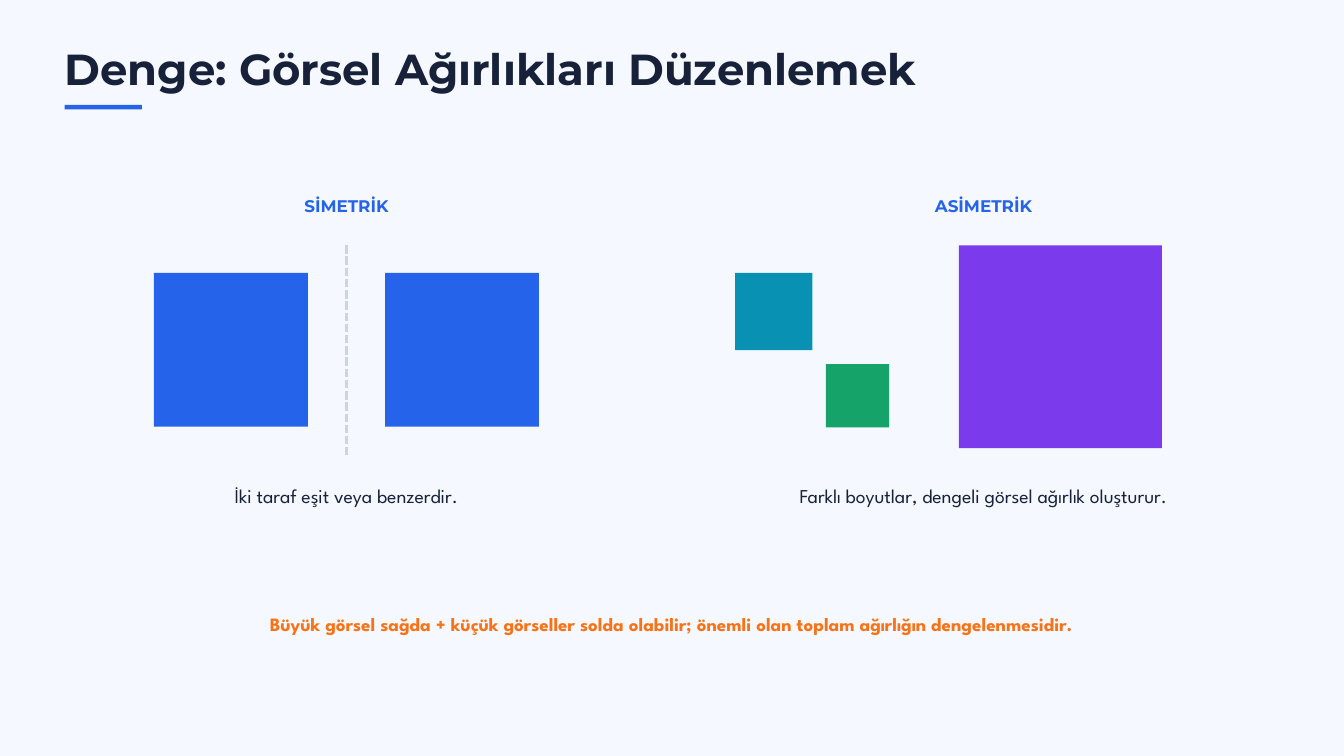
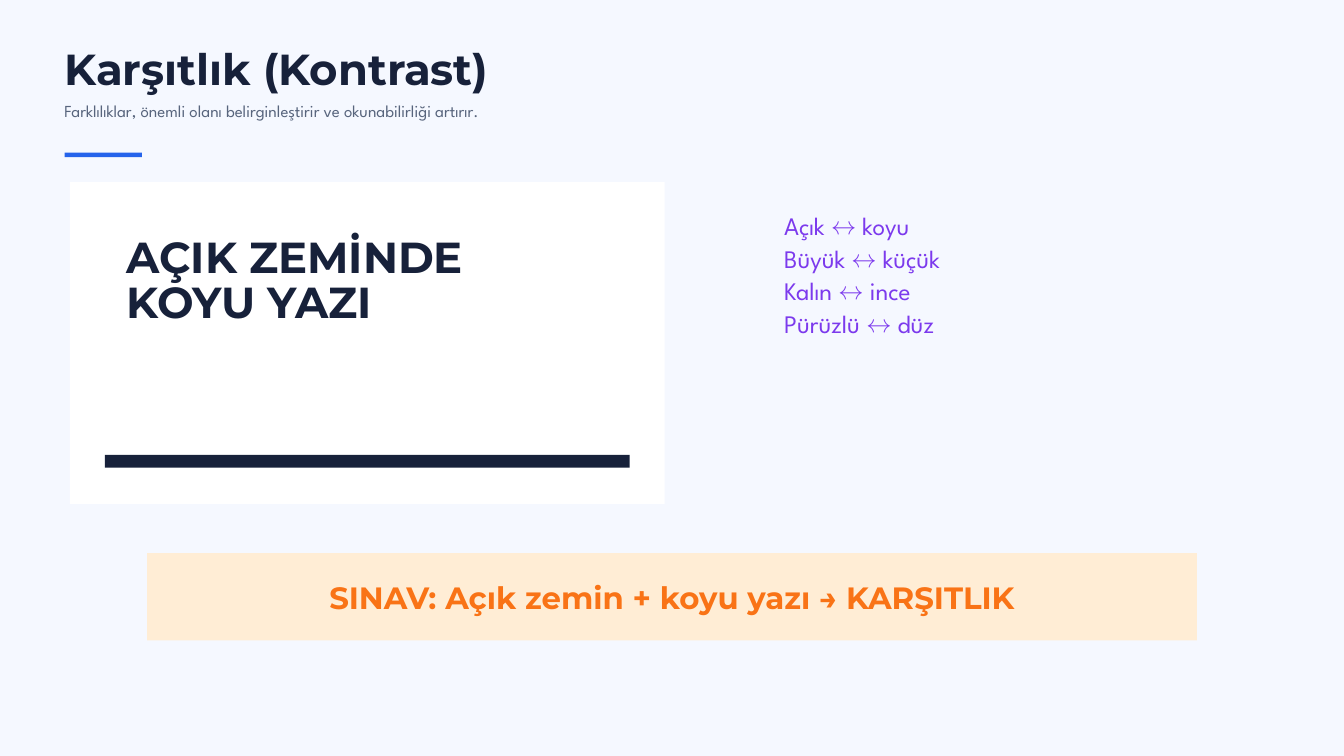
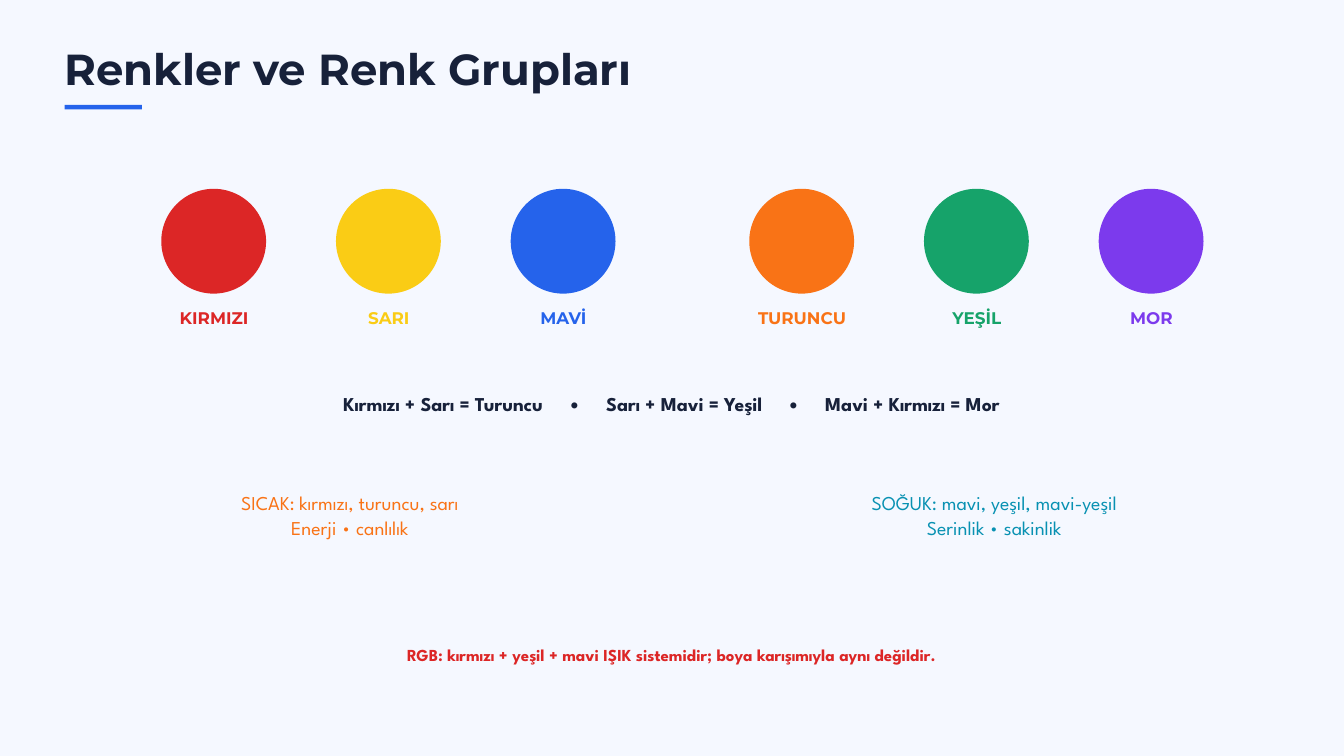
from lxml import etree
from pptx import Presentation
from pptx.dml.color import RGBColor as RGB
from pptx.enum.dml import MSO_LINE as Dash
from pptx.enum.shapes import MSO_CONNECTOR as Link, MSO_SHAPE as Shape
from pptx.enum.text import MSO_AUTO_SIZE as Fit, PP_ALIGN as Align
from pptx.oxml.ns import qn
from pptx.util import Inches, Pt

COLORS = {
    "back": "F5F8FF", "ink": "17213A", "muted": "58657D", "white": "FFFFFF",
    "blue": "2563EB", "purple": "7C3AED", "teal": "0891B2", "green": "16A36A",
    "orange": "F97316", "peach": "FFEDD5", "red": "DC2626", "yellow": "FACC15",
    "dash": "CBD5E1",
}
HEAD, BODY = "Montserrat", "League Spartan"

# Font values and line height as a multiple of the size
STYLES = {
    "title": ({"name": HEAD, "size": Pt(46.5), "bold": True}, 1.05),
    "exam": ({"name": HEAD, "size": Pt(33), "bold": True}, 1.05),
    "label": ({"name": HEAD, "size": Pt(18), "bold": True}, 1.1),
    "lead": ({"name": BODY, "size": Pt(18), "bold": False}, 1.25),
    "body": ({"name": BODY, "size": Pt(21), "bold": False}, 1.3),
    "strong": ({"name": BODY, "size": Pt(21), "bold": True}, 1.3),
    "list": ({"name": BODY, "size": Pt(27), "bold": False}, 1.3),
    "point": ({"name": BODY, "size": Pt(20.25), "bold": True}, 1.3),
    "note": ({"name": BODY, "size": Pt(18), "bold": True}, 1.25),
}


def tint(name):
    return RGB.from_string(COLORS[name])


class Deck:
    def __init__(self):
        self.prs = Presentation()
        self.prs.slide_width = Inches(20)
        self.prs.slide_height = Inches(11.25)
        self.slide = None

    def start(self, title, lead=None):
        """Add a slide with its title, optional lead line and accent bar."""
        self.slide = self.prs.slides.add_slide(self.prs.slide_layouts[6])
        fill = self.slide.background.fill
        fill.solid()
        fill.fore_color.rgb = tint("back")
        self.text(title, 0.96, 0.73, 15.62, 0.69, "title")
        if lead:
            self.text(lead, 0.96, 1.48, 16.04, 0.3, "lead", "muted")
        self.shape(0.96, 2.27 if lead else 1.56, 1.15, 0.07, "blue")

    def text(self, words, x, y, w, h, style, color="ink", align=Align.LEFT,
             inset=0, tabs=()):
        box = self.slide.shapes.add_textbox(*map(Inches, (x, y, w, h)))
        frame = box.text_frame
        form = {"word_wrap": True, "auto_size": Fit.SHAPE_TO_FIT_TEXT,
                "margin_left": Inches(inset), "margin_right": 0,
                "margin_top": 0, "margin_bottom": 0}
        for key, value in form.items():
            setattr(frame, key, value)
        font, ratio = STYLES[style]
        for i, line in enumerate(words.split("\n")):
            para = frame.add_paragraph() if i else frame.paragraphs[0]
            para.alignment = align
            para.line_spacing = Pt(round(font["size"].pt * ratio, 1))
            if tabs:
                self.tabs(para, tabs)
            run = para.add_run()
            run.text = line
            for key, value in font.items():
                setattr(run.font, key, value)
            run.font.color.rgb = tint(color)

    def tabs(self, para, stops):
        group = etree.SubElement(para._p.get_or_add_pPr(), qn("a:tabLst"))
        for place, kind in stops:
            etree.SubElement(group, qn("a:tab"), pos=str(Inches(place)), algn=kind)

    def mid(self, words, x, y, w, h, style, color="ink"):
        """Add centred text."""
        self.text(words, x, y, w, h, style, color, Align.CENTER)

    def shape(self, x, y, w, h, color, kind=Shape.RECTANGLE):
        item = self.slide.shapes.add_shape(kind, *map(Inches, (x, y, w, h)))
        item.shadow.inherit = False
        item.fill.solid()
        item.fill.fore_color.rgb = tint(color)
        item.line.fill.background()

    def line(self, x1, y1, x2, y2, color, width):
        item = self.slide.shapes.add_connector(
            Link.STRAIGHT, *map(Inches, (x1, y1, x2, y2)))
        item.line.color.rgb = tint(color)
        item.line.width = Pt(width)
        item.line.dash_style = Dash.SQUARE_DOT
        etree.SubElement(item._element.spPr, qn("a:effectLst"))


def balance(deck):
    deck.start("Denge: Görsel Ağırlıkları Düzenlemek")
    for x, head, text in (
        (1.77, "SİMETRİK", "İki taraf eşit veya benzerdir."),
        (11.25, "ASİMETRİK", "Farklı boyutlar, dengeli görsel ağırlık oluşturur."),
    ):
        deck.mid(head, x, 2.94, 6.77, 0.28, "label", "blue")
        deck.mid(text, x, 7.17, 6.77, 0.37, "body")
    for x, y, side, color in (
        (2.29, 4.06, 2.29, "blue"), (5.73, 4.06, 2.29, "blue"),
        (14.27, 3.65, 3.02, "purple"), (10.94, 4.06, 1.15, "teal"),
        (12.29, 5.42, 0.94, "green"),
    ):
        deck.shape(x, y, side, side, color)
    deck.line(5.16, 3.65, 5.16, 6.77, "dash", 3)
    deck.mid("Büyük görsel sağda + küçük görseller solda olabilir; "
             "önemli olan toplam ağırlığın dengelenmesidir.",
             3.12, 9.09, 13.75, 0.36, "point", "orange")


def contrast(deck):
    deck.start("Karşıtlık (Kontrast)",
               "Farklılıklar, önemli olanı belirginleştirir ve okunabilirliği artırır.")
    deck.shape(1.04, 2.71, 8.85, 4.79, "white")
    deck.text("AÇIK ZEMİNDE\nKOYU YAZI", 1.88, 3.52, 7.08, 1.37, "title")
    deck.shape(1.56, 6.77, 7.81, 0.19, "ink")
    deck.text("Açık ↔ koyu\nBüyük ↔ küçük\nKalın ↔ ince\nPürüzlü ↔ düz",
              11.67, 3.09, 5.83, 1.91, "list", "purple")
    deck.shape(2.19, 8.23, 15.62, 1.3, "peach")
    deck.mid("SINAV: Açık zemin + koyu yazı → KARŞITLIK",
             2.71, 8.68, 14.58, 0.51, "exam", "orange")


def colors(deck):
    deck.start("Renkler ve Renk Grupları")
    for left, group in (
        (2.4, (("KIRMIZI", "red"), ("SARI", "yellow"), ("MAVİ", "blue"))),
        (11.15, (("TURUNCU", "orange"), ("YEŞİL", "green"), ("MOR", "purple"))),
    ):
        for i, (name, color) in enumerate(group):
            x = left + 2.6 * i
            deck.shape(x, 2.81, 1.56, 1.56, color, Shape.OVAL)
            deck.mid(name, x - 0.31, 4.6, 2.19, 0.28, "label", color)
    sums = ("Kırmızı + Sarı = Turuncu", "Sarı + Mavi = Yeşil", "Mavi + Kırmızı = Mor")
    deck.text("\t•\t".join(sums), 1.88, 5.81, 16.25, 0.37, "strong", inset=3.23,
              tabs=((3.44, "ctr"), (3.91, "l"), (6.7, "ctr"), (7.17, "l")))
    deck.mid("SICAK: kırmızı, turuncu, sarı\nEnerji • canlılık",
             1.56, 7.27, 7.29, 0.74, "body", "orange")
    deck.mid("SOĞUK: mavi, yeşil, mavi-yeşil\nSerinlik • sakinlik",
             11.15, 7.27, 7.29, 0.74, "body", "teal")
    deck.mid("RGB: kırmızı + yeşil + mavi IŞIK sistemidir; boya karışımıyla aynı değildir.",
             3.12, 9.58, 13.75, 0.3, "note", "red")


def main():
    deck = Deck()
    for build in (balance, contrast, colors):
        build(deck)
    deck.prs.save("out.pptx")


if __name__ == "__main__":
    main()
